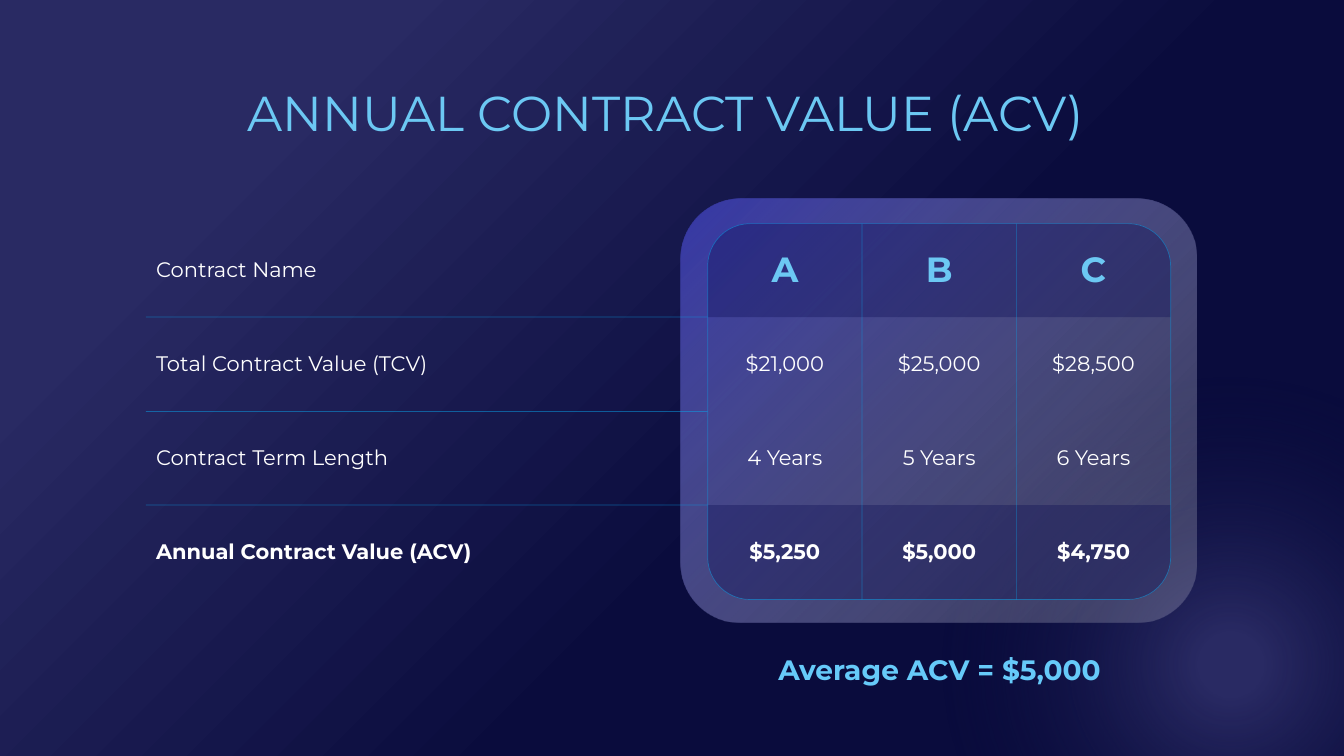
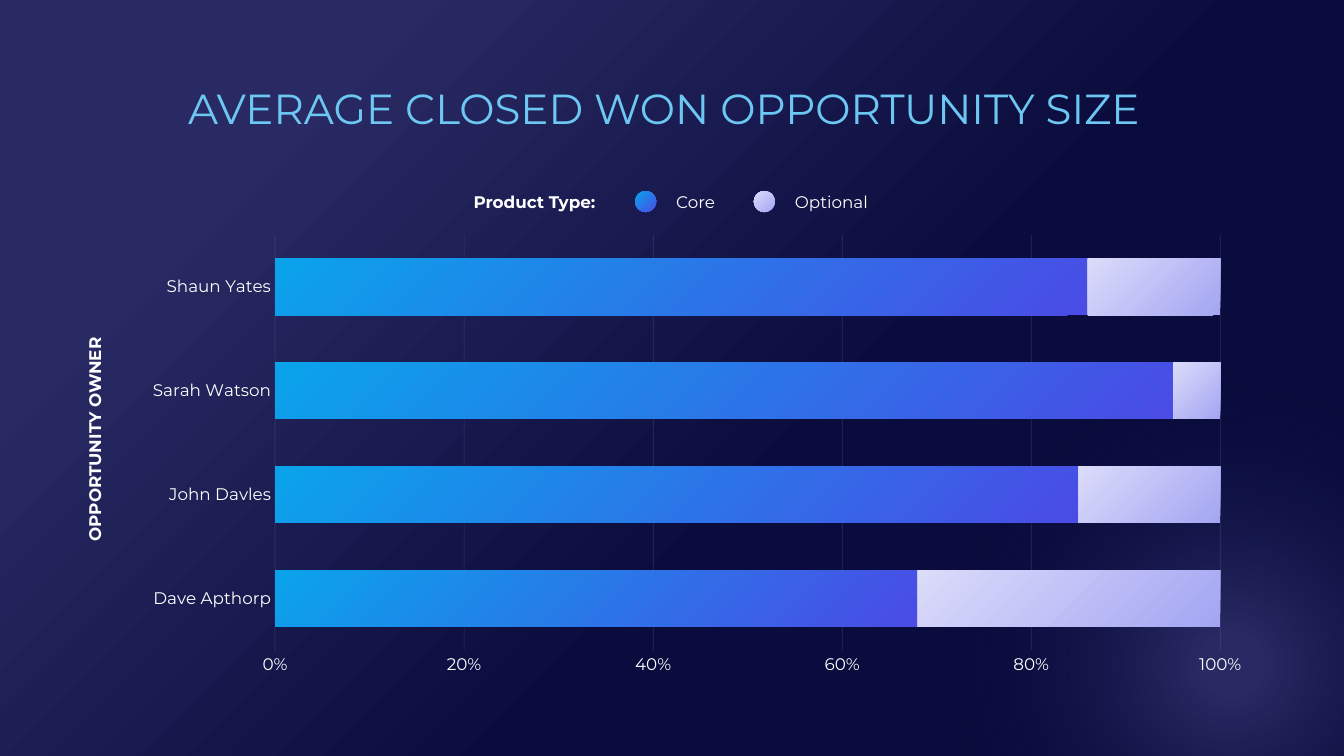
"""Build two sales slides: a contract value table and an opportunity size chart."""
from dataclasses import dataclass
from typing import Any, Optional

from lxml import etree
from pptx import Presentation
from pptx.chart.data import CategoryChartData
from pptx.dml.color import RGBColor
from pptx.enum.chart import XL_CHART_TYPE, XL_TICK_MARK
from pptx.enum.shapes import MSO_CONNECTOR, MSO_SHAPE
from pptx.enum.text import MSO_ANCHOR, MSO_AUTO_SIZE, PP_ALIGN
from pptx.oxml.ns import qn
from pptx.util import Emu, Pt

OVAL = MSO_SHAPE.OVAL
ROUNDED = MSO_SHAPE.ROUNDED_RECTANGLE
ROUND_SAME = MSO_SHAPE.ROUND_2_SAME_RECTANGLE
STRAIGHT = MSO_CONNECTOR.STRAIGHT
LEFT, CENTER = PP_ALIGN.LEFT, PP_ALIGN.CENTER
TOP, MIDDLE = MSO_ANCHOR.TOP, MSO_ANCHOR.MIDDLE
FIT = MSO_AUTO_SIZE.SHAPE_TO_FIT_TEXT
STACKED = XL_CHART_TYPE.BAR_STACKED_100
NO_TICK = XL_TICK_MARK.NONE

PX = 9525
FONT = "Montserrat"
NO_STYLE = "{2D5ABB26-0587-4C30-8999-92F81FD0307C}"
COLORS = {
    "white": "FFFFFF",
    "indigo": "292A63",
    "navy": "0A0C3D",
    "shade": "0C0D54",
    "sky": "6CC8F3",
    "ice": "66CAF9",
    "cyan": "0AA3EB",
    "violet": "4A4CE5",
    "iris": "6E70EA",
    "mist": "DBDBFA",
    "lilac": "A4A6F2",
    "grid": "8485A8",
}


@dataclass(frozen=True)
class Stop:
    pos: int
    color: str
    alpha: int = 100


@dataclass(frozen=True)
class Gradient:
    stops: tuple[Stop, ...]
    focus: tuple[int, int, int, int] = (0, 0, 100, 100)
    angle: Optional[int] = None


@dataclass(frozen=True)
class Box:
    x: int
    y: int
    w: int
    h: int


@dataclass(frozen=True)
class Style:
    size: int
    color: str = "white"
    bold: bool = False
    gradient: Optional[Gradient] = None


@dataclass(frozen=True)
class Product:
    name: str
    values: tuple[int, ...]
    gradient: Gradient
    x: int
    label_w: int


@dataclass(frozen=True)
class Row:
    height: int
    cells: tuple[str, ...]
    label_style: Style
    value_style: Style


BACKDROP = Gradient((Stop(19, "indigo"), Stop(60, "navy")))
GLOW = Gradient((Stop(8, "indigo"), Stop(71, "navy", 0)), (50, 50, 50, 50))
TITLE = Gradient((Stop(0, "sky"), Stop(64, "cyan")))
AVERAGE = Gradient((Stop(0, "ice"), Stop(88, "iris")), angle=90)
CARD = Gradient((Stop(0, "violet", 58), Stop(88, "white", 19)))

BODY, STRONG = Style(15), Style(15, bold=True)
NOTE, NOTE_BOLD = Style(12), Style(12, bold=True)
ROWS = (
    Row(89, ("Contract Name", "A", "B", "C"), BODY, Style(25, "sky", True)),
    Row(90, ("Total Contract Value (TCV)", "$21,000", "$25,000", "$28,500"), BODY, BODY),
    Row(89, ("Contract Term Length", "4 Years", "5 Years", "6 Years"), BODY, BODY),
    Row(90, ("Annual Contract Value (ACV)", "$5,250", "$5,000", "$4,750"), STRONG, STRONG),
)
LABEL_X, LABEL_W, VALUE_W, TABLE_Y = 139, 535, 147, 213
VALUES_X = LABEL_X + LABEL_W
TABLE_H = sum(row.height for row in ROWS)

OWNERS = ("Dave Apthorp", "John Davles", "Sarah Watson", "Shaun Yates")
PRODUCTS = (
    Product("Core", (68, 85, 95, 86),
            Gradient((Stop(0, "cyan"), Stop(100, "violet"))), 605, 77),
    Product("Optional", (32, 15, 5, 14),
            Gradient((Stop(0, "mist"), Stop(100, "lilac"))), 718, 109),
)


def rgb(name: str) -> RGBColor:
    return RGBColor.from_string(COLORS[name])


def emu(box: Box) -> tuple[Emu, ...]:
    return tuple(Emu(v * PX) for v in (box.x, box.y, box.w, box.h))


def fade(element: Any, alpha: int) -> None:
    for clr in element.iter(qn("a:srgbClr")):
        etree.SubElement(clr, qn("a:alpha"), val=str(alpha * 1000))


def paint(fill: Any, owner: Any, gradient: Gradient) -> None:
    fill.gradient()
    grad = next(owner.iter(qn("a:gradFill")))
    for child in list(grad):
        grad.remove(child)
    stops = etree.SubElement(grad, qn("a:gsLst"))
    for stop in gradient.stops:
        gs = etree.SubElement(stops, qn("a:gs"), pos=str(stop.pos * 1000))
        etree.SubElement(gs, qn("a:srgbClr"), val=COLORS[stop.color])
        if stop.alpha < 100:
            fade(gs, stop.alpha)
    if gradient.angle is not None:
        etree.SubElement(grad, qn("a:lin"), ang=str(gradient.angle * 60000), scaled="0")
        return
    path = etree.SubElement(grad, qn("a:path"), path="circle")
    sides = {side: str(v * 1000) for side, v in zip("ltrb", gradient.focus)}
    etree.SubElement(path, qn("a:fillToRect"), **sides)


def set_font(font: Any, style: Style) -> None:
    font.name, font.size, font.bold = FONT, Pt(style.size), style.bold
    font.color.rgb = rgb(style.color)


def write(tf: Any, text: str, style: Style, align: Any) -> None:
    p = tf.paragraphs[0]
    p.text = text
    p.alignment = align
    set_font(p.font, style)
    if style.gradient:
        paint(p.font.fill, tf._txBody, style.gradient)


def add_text(s: Any, box: Box, text: str, style: Style, align: Any = CENTER,
             anchor: Any = TOP, inset: int = 10, rotation: int = 0) -> None:
    sp = s.shapes.add_textbox(*emu(box))
    sp.rotation = rotation
    tf = sp.text_frame
    tf.word_wrap = False
    tf.auto_size = FIT
    tf.vertical_anchor = anchor
    tf.margin_left = tf.margin_right = Emu(inset * PX)
    write(tf, text, style, align)


def add_shape(s: Any, kind: Any, box: Box, gradient: Optional[Gradient] = None,
              adjustments: tuple[float, ...] = ()) -> Any:
    sp = s.shapes.add_shape(kind, *emu(box))
    sp.shadow.inherit = False
    sp.line.fill.background()
    for i, value in enumerate(adjustments):
        sp.adjustments[i] = value
    if gradient:
        paint(sp.fill, sp.element, gradient)
    else:
        sp.fill.background()
    return sp


def set_rule(sp: Any) -> None:
    sp.line.color.rgb = rgb("cyan")
    sp.line.width = Pt(0.5)
    fade(sp.element, 50)


def add_rule(s: Any, x1: int, y1: int, x2: int, y2: int) -> Any:
    sp = s.shapes.add_connector(STRAIGHT, *(Emu(v * PX) for v in (x1, y1, x2, y2)))
    set_rule(sp)
    etree.SubElement(sp.element.spPr, qn("a:effectLst"))
    return sp


def add_slide(prs: Any, title: str, size: int, box: Box) -> Any:
    s = prs.slides.add_slide(prs.slide_layouts[6])
    add_shape(s, OVAL, Box(898, 360, 547, 545), GLOW)
    add_text(s, box, title, Style(size, "sky", gradient=TITLE))
    return s


def add_contract_table(s: Any) -> None:
    widths = (LABEL_W,) + (VALUE_W,) * 3
    box = Box(LABEL_X, TABLE_Y, sum(widths), TABLE_H)
    frame = s.shapes.add_table(len(ROWS), len(widths), *emu(box))
    table = frame.table
    table.first_row = table.horz_banding = False
    next(frame.element.iter(qn("a:tableStyleId"))).text = NO_STYLE
    for column, width in zip(table.columns, widths):
        column.width = Emu(width * PX)
    for r, row in enumerate(ROWS):
        table.rows[r].height = Emu(row.height * PX)
        for c, text in enumerate(row.cells):
            cell = table.cell(r, c)
            cell.fill.background()
            cell.vertical_anchor = MIDDLE
            style = row.value_style if c else row.label_style
            write(cell.text_frame, text, style, CENTER if c else LEFT)


def build_contract_slide(prs: Any) -> None:
    s = add_slide(prs, "ANNUAL CONTRACT VALUE (ACV)", 35, Box(220, 74, 828, 66))
    add_text(s, Box(729, 616, 332, 42), "Average ACV = $5,000",
             Style(20, "ice", True, AVERAGE), anchor=MIDDLE)
    add_shape(s, ROUNDED, Box(648, 189, 492, 404), CARD, (0.142,))
    w, bottom = VALUE_W * 3, TABLE_Y + TABLE_H
    head, foot = ROWS[0].height, ROWS[-1].height
    bands = (
        (Box(VALUES_X, TABLE_Y, w, head), (0.45, 0)),
        (Box(VALUES_X, bottom - foot, w, foot), (0, 0.45)),
    )
    for box, corners in bands:
        band = add_shape(s, ROUND_SAME, box, adjustments=corners)
        band.fill.solid()
        band.fill.fore_color.rgb = rgb("shade")
        fade(band.element, 35)
    outline = add_shape(s, ROUNDED, Box(VALUES_X, TABLE_Y, w, TABLE_H), adjustments=(0.113,))
    set_rule(outline)
    for x in (VALUES_X + VALUE_W, VALUES_X + 2 * VALUE_W):
        add_rule(s, x, TABLE_Y, x, bottom)
    y = TABLE_Y
    for row in ROWS[:-1]:
        y += row.height
        rule = add_rule(s, LABEL_X, y, VALUES_X, y)
        if 2 * y == TABLE_Y + bottom:
            rule.end_connect(outline, 1)
    add_contract_table(s)


def add_opportunity_chart(s: Any) -> None:
    data = CategoryChartData()
    data.categories = OWNERS
    for product in PRODUCTS:
        data.add_series(product.name, product.values)
    chart = s.shapes.add_chart(STACKED, *emu(Box(124, 215, 1080, 436)), data).chart
    chart.has_legend = chart.has_title = False
    set_font(chart.font, NOTE)
    plot = chart.plots[0]
    plot.vary_by_categories = False
    plot.gap_width, plot.overlap = 84, 100
    for series, product in zip(plot.series, PRODUCTS):
        series.invert_if_negative = False
        paint(series.format.fill, series._element, product.gradient)
    values = chart.value_axis
    values.major_unit = 0.2
    values.has_major_gridlines = True
    grid = values.major_gridlines.format.line
    grid.color.rgb = rgb("grid")
    grid.width = Pt(0.5)
    fade(values._element.find(qn("c:majorGridlines")), 25)
    for axis in (chart.category_axis, values):
        axis.major_tick_mark = axis.minor_tick_mark = NO_TICK
        axis.format.line.fill.background()
        set_font(axis.tick_labels.font, NOTE)
    values.tick_labels.number_format = "0%"
    values.tick_labels.number_format_is_linked = False


def build_opportunity_slide(prs: Any) -> None:
    s = add_slide(prs, "AVERAGE CLOSED WON OPPORTUNITY SIZE", 30, Box(162, 74, 941, 59))
    add_text(s, Box(432, 178, 156, 29), "Product Type:", NOTE_BOLD, LEFT, inset=19)
    for product in PRODUCTS:
        add_shape(s, OVAL, Box(product.x, 182, 20, 20), product.gradient)
        add_text(s, Box(product.x + 20, 178, product.label_w, 29),
                 product.name, NOTE, LEFT, inset=19)
    add_opportunity_chart(s)
    add_text(s, Box(-28, 404, 236, 29), "OPPORTUNITY OWNER", NOTE_BOLD,
             inset=19, rotation=270)


def main() -> None:
    prs = Presentation()
    prs.slide_width, prs.slide_height = Emu(1280 * PX), Emu(720 * PX)
    master = prs.slide_master
    paint(master.background.fill, master.element, BACKDROP)
    build_contract_slide(prs)
    build_opportunity_slide(prs)
    prs.save("out.pptx")


if __name__ == "__main__":
    main()
